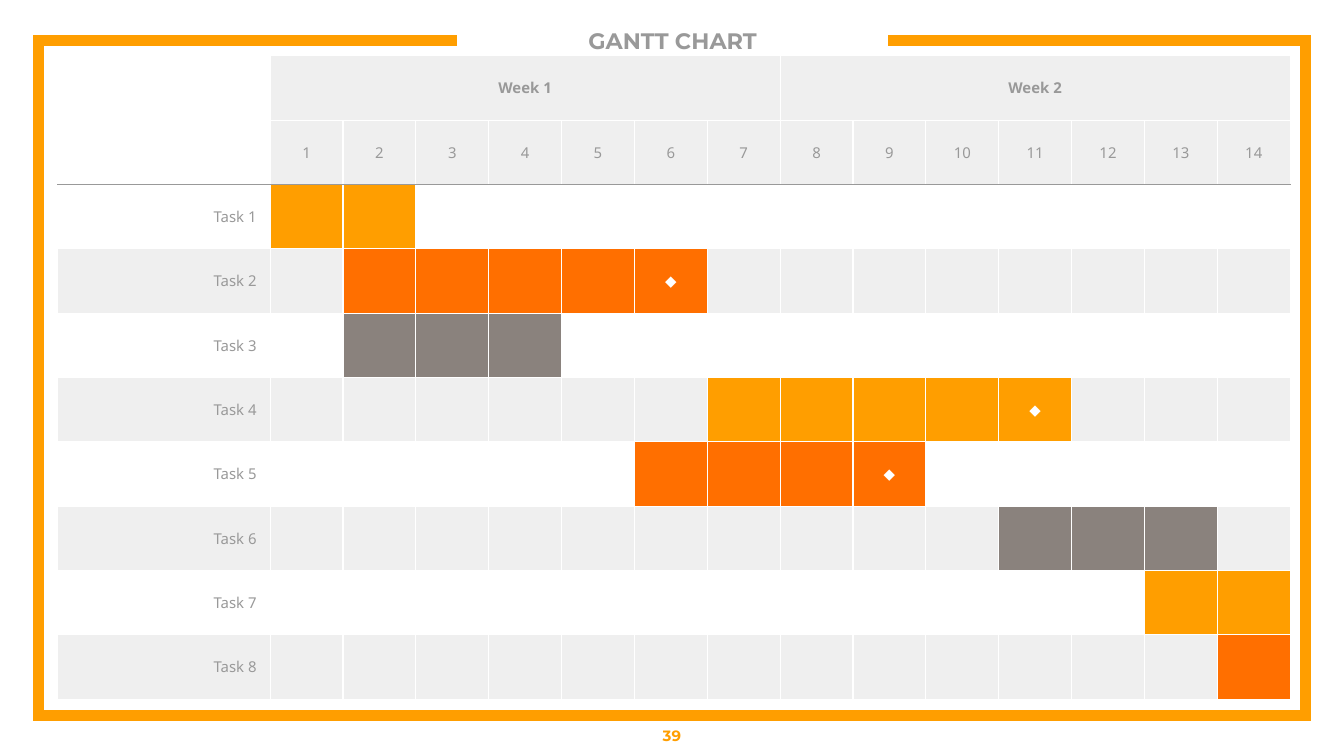
from dataclasses import dataclass

from lxml import etree
from pptx import Presentation
from pptx import util as u
from pptx.dml.color import RGBColor
from pptx.enum import text
from pptx.oxml import ns


@dataclass(frozen=True)
class Theme:
    amber: str = "FF9E00"
    orange: str = "FF6F00"
    taupe: str = "8A827D"
    band: str = "EFEFEF"
    grey: str = "999999"
    white: str = "FFFFFF"
    heading_font: str = "Montserrat"
    body_font: str = "Noto Sans"
    title_size: int = 12
    body_size: int = 8
    frame_width: int = 6
    rule_width: float = 0.75


THEME = Theme()

# The slide is a grid of square units, 100 columns wide.
COLUMNS, ROWS = 100, 56.25
UNIT = u.Inches(10) / COLUMNS

DAYS, DAYS_PER_WEEK = 14, 7
HEADER_ROWS = 2
CHART_LEFT, CHART_TOP, CHART_RIGHT = 4.3, 4.15, 96
LABEL_COLUMNS, ROW_HEIGHT = 15.8, 4.79
DAY_COLUMNS = (CHART_RIGHT - CHART_LEFT - LABEL_COLUMNS) / DAYS

# First day, last day, colour, ends in a milestone
TASKS = [
    (1, 2, THEME.amber, False),
    (2, 6, THEME.orange, True),
    (2, 4, THEME.taupe, False),
    (7, 11, THEME.amber, True),
    (6, 9, THEME.orange, True),
    (11, 13, THEME.taupe, False),
    (13, 14, THEME.amber, False),
    (14, 14, THEME.orange, False),
]


def grid(*units):
    return [u.Emu(round(n * UNIT)) for n in units]


def write(frame, words, align=text.PP_ALIGN.CENTER, color=THEME.grey,
          size=THEME.body_size, font=THEME.body_font, bold=False):
    paragraph = frame.paragraphs[0]
    paragraph.alignment = align
    run = paragraph.add_run()
    run.text = words
    for name, value in {"name": font, "size": u.Pt(size), "bold": bold}.items():
        setattr(run.font, name, value)
    run.font.color.rgb = RGBColor.from_string(color)


def add_label(slide, box, words, margin, **style):
    frame = slide.shapes.add_textbox(*grid(*box)).text_frame
    layout = {"word_wrap": True, "vertical_anchor": text.MSO_ANCHOR.MIDDLE}
    layout.update({f"margin_{side}": u.Inches(margin)
                   for side in ("left", "top", "right", "bottom")})
    for name, value in layout.items():
        setattr(frame, name, value)
    write(frame, words, font=THEME.heading_font, bold=True, **style)


def add_frame(slide):
    """Draw the border, open at the top around the title."""
    left, top, right, bottom = 2.85, 3, 97.15, 53.25
    gap_left, gap_right = 34, 66.1
    corners = [(left, top), (left, bottom), (right, bottom),
               (right, top), (gap_right, top)]
    outline = slide.shapes.build_freeform(*grid(gap_left, top))
    outline.add_line_segments([grid(*corner) for corner in corners], close=False)
    border = outline.convert_to_shape()
    border.shadow.inherit = False
    border.fill.background()
    border.line.color.rgb = RGBColor.from_string(THEME.amber)
    border.line.width = u.Pt(THEME.frame_width)
    stroke = border.element.spPr.find(ns.qn("a:ln"))
    etree.SubElement(stroke, ns.qn("a:miter"), lim="800000")


def rule_cell(cell, **colors):
    """Put the four borders before the fill, as the schema orders them."""
    properties = cell._tc.get_or_add_tcPr()
    for place, side in enumerate("LRTB"):
        line = etree.Element(ns.qn(f"a:ln{side}"), w=str(u.Pt(THEME.rule_width)))
        fill = etree.SubElement(line, ns.qn("a:solidFill"))
        etree.SubElement(fill, ns.qn("a:srgbClr"),
                         val=colors.get(side, THEME.white))
        properties.insert(place, line)


def paint(cell, color):
    if color:
        cell.fill.solid()
        cell.fill.fore_color.rgb = RGBColor.from_string(color)
    else:
        cell.fill.background()


def add_gantt_grid(slide):
    row_count = HEADER_ROWS + len(TASKS)
    table = slide.shapes.add_table(
        row_count, DAYS + 1,
        *grid(CHART_LEFT, CHART_TOP, CHART_RIGHT - CHART_LEFT,
              row_count * ROW_HEIGHT)).table
    table.first_row = table.horz_banding = False
    for number, column in enumerate(table.columns):
        column.width, = grid(DAY_COLUMNS if number else LABEL_COLUMNS)
    for number, row in enumerate(table.rows):
        row.height, = grid(ROW_HEIGHT)
        edges = {HEADER_ROWS - 1: {"B": THEME.grey},
                 HEADER_ROWS: {"T": THEME.grey}}.get(number, {})
        for cell in row.cells:
            cell.vertical_anchor = text.MSO_ANCHOR.MIDDLE
            paint(cell, None)
            rule_cell(cell, **edges)
    return table


def fill_calendar(table):
    for day in range(1, DAYS + 1):
        for row in range(HEADER_ROWS):
            paint(table.cell(row, day), THEME.band)
        write(table.cell(1, day).text_frame, str(day))
    for week, first in enumerate(range(1, DAYS + 1, DAYS_PER_WEEK), 1):
        heading = table.cell(0, first)
        heading.merge(table.cell(0, first + DAYS_PER_WEEK - 1))
        write(heading.text_frame, f"Week {week}", bold=True)


def fill_task(table, number, start, end, color, milestone):
    row = HEADER_ROWS + number - 1
    background = THEME.band if number % 2 == 0 else None
    for day in range(DAYS + 1):
        paint(table.cell(row, day), color if start <= day <= end else background)
    write(table.cell(row, 0).text_frame, f"Task {number}", text.PP_ALIGN.RIGHT)
    if milestone:
        write(table.cell(row, end).text_frame, "◆", color=THEME.white)


def main():
    deck = Presentation()
    deck.slide_width, deck.slide_height = grid(COLUMNS, ROWS)
    slide = deck.slides.add_slide(deck.slide_layouts[6])
    add_frame(slide)
    add_label(slide, (35.5, 1.1, 29.1, 3.9), "GANTT CHART", 0,
              size=THEME.title_size)
    add_label(slide, (0, 53.25, COLUMNS, 3), "39", 0.1, color=THEME.amber)
    table = add_gantt_grid(slide)
    fill_calendar(table)
    for number, task in enumerate(TASKS, 1):
        fill_task(table, number, *task)
    deck.save("out.pptx")


if __name__ == "__main__":
    main()
